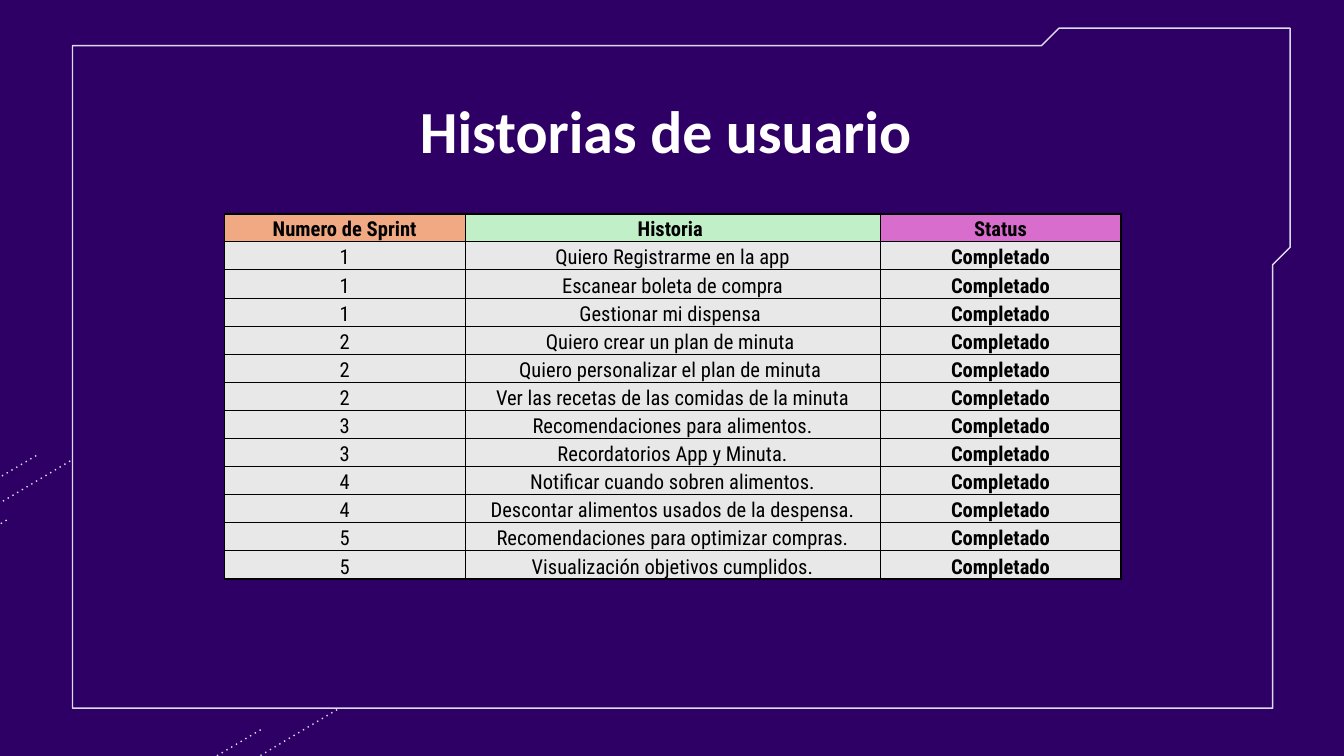
from lxml import etree
from pptx import Presentation
from pptx.dml.color import RGBColor
from pptx.enum.shapes import MSO_CONNECTOR
from pptx.enum.text import MSO_ANCHOR, PP_ALIGN
from pptx.oxml.ns import qn
from pptx.util import Inches, Pt

STRAIGHT = MSO_CONNECTOR.STRAIGHT
TOP, BOTTOM = MSO_ANCHOR.TOP, MSO_ANCHOR.BOTTOM
CENTER = PP_ALIGN.CENTER

PURPLE = RGBColor(0x2E, 0x00, 0x65)
LAVENDER = RGBColor(0xDB, 0xDB, 0xF0)
WHITE = RGBColor(0xFF, 0xFF, 0xFF)
BLACK = RGBColor(0x00, 0x00, 0x00)
GREY = RGBColor(0xE8, 0xE8, 0xE8)
ORANGE = RGBColor(0xF1, 0xA9, 0x83)
GREEN = RGBColor(0xC1, 0xF0, 0xC8)
PINK = RGBColor(0xD8, 0x6D, 0xCD)

TITLE_FONT = "Calibri"
TABLE_FONT = "Roboto Condensed"

HEADERS = ["Numero de Sprint", "Historia ", "Status"]
HEADER_FILLS = [ORANGE, GREEN, PINK]
COLUMN_SHARES = [1.79, 3.09, 1.79]
STORIES = [
    (1, "Quiero Registrarme en la app"),
    (1, "Escanear boleta de compra"),
    (1, "Gestionar mi dispensa "),
    (2, "Quiero crear un plan de minuta "),
    (2, "Quiero personalizar el plan de minuta "),
    (2, "Ver las recetas de las comidas de la minuta"),
    (3, "Recomendaciones para alimentos."),
    (3, "Recordatorios App y Minuta."),
    (4, "Notificar cuando sobren alimentos."),
    (4, "Descontar alimentos usados de la despensa."),
    (5, "Recomendaciones para optimizar compras."),
    (5, "Visualización objetivos cumplidos."),
]
STATUS = "Completado"

# Start x, start y, end x, end y, measured from the corner of the group
DIAGONALS = [
    (0.69, 0.36, 0, 0.77),
    (1.61, 0, 0.09, 0.91),
    (0.47, 0.84, 0.1, 1.06),
]


def add_diagonals(slide, left, top, count):
    for x1, y1, x2, y2 in DIAGONALS[:count]:
        line = slide.shapes.add_connector(
            STRAIGHT, Inches(left + x1), Inches(top + y1),
            Inches(left + x2), Inches(top + y2))
        line.line.color.rgb = LAVENDER
        line.line.width = Pt(0.75)
        etree.SubElement(line.get_or_add_ln(), qn("a:prstDash"), val="dot")
        etree.SubElement(line._element.spPr, qn("a:effectLst"))


def add_frame(slide, left, top, width, height):
    """Draw the outline whose top right corner is a raised tab."""
    notch, tab_width, tab_height = 0.13, 1.72, 1.63
    tab_left, inner_right = width - tab_width, width - notch
    points = [
        (tab_left, 0), (tab_left - notch, notch), (0, notch), (0, height),
        (inner_right, height), (inner_right, tab_height + notch),
        (width, tab_height), (width, 0),
    ]
    corners = [(Inches(left + x), Inches(top + y)) for x, y in points]
    builder = slide.shapes.build_freeform(*corners[0])
    builder.add_line_segments(corners[1:], close=True)
    frame = builder.convert_to_shape()
    frame.shadow.inherit = False
    frame.fill.solid()
    frame.fill.fore_color.rgb = PURPLE
    frame.line.color.rgb = LAVENDER
    frame.line.width = Pt(0.75)


def place_title(slide, left, top, width, height):
    title = slide.shapes.title
    title.left, title.top = Inches(left), Inches(top)
    title.width, title.height = Inches(width), Inches(height)
    text_frame = title.text_frame
    text_frame.text = "Historias de usuario "
    text_frame.vertical_anchor = TOP
    text_frame.margin_left = text_frame.margin_right = Inches(0.1)
    text_frame.margin_top = text_frame.margin_bottom = Inches(0.1)
    paragraph = text_frame.paragraphs[0]
    paragraph.alignment = CENTER
    paragraph.line_spacing = 1.05
    paragraph.font.name = TITLE_FONT
    paragraph.font.size = Pt(32)
    paragraph.font.bold = True
    paragraph.font.color.rgb = WHITE
    # The filled frame must lie behind the title
    title._element.getparent().append(title._element)


def set_borders(cell, is_outer):
    """Draw four borders, thicker on the sides marked in is_outer."""
    properties = cell._tc.get_or_add_tcPr()
    for index, side in enumerate(("L", "R", "T", "B")):
        width = Pt(1 if is_outer[side] else 0.5)
        border = etree.Element(qn(f"a:ln{side}"), w=str(width))
        fill = etree.SubElement(border, qn("a:solidFill"))
        etree.SubElement(fill, qn("a:srgbClr"), val=str(BLACK))
        properties.insert(index, border)


def format_cell(cell, text, fill, bold):
    cell.fill.solid()
    cell.fill.fore_color.rgb = fill
    cell.vertical_anchor = BOTTOM
    cell.margin_left = cell.margin_right = cell.margin_top = Inches(0.01)
    cell.margin_bottom = 0
    cell.text = text
    paragraph = cell.text_frame.paragraphs[0]
    paragraph.alignment = CENTER
    paragraph.font.name = TABLE_FONT
    paragraph.font.size = Pt(11)
    paragraph.font.bold = bold
    paragraph.font.color.rgb = BLACK


def add_story_table(slide, left, top, width, height):
    rows = [HEADERS] + [(str(sprint), story, STATUS) for sprint, story in STORIES]
    last_row, last_column = len(rows) - 1, len(HEADERS) - 1
    table = slide.shapes.add_table(
        len(rows), len(HEADERS), Inches(left), Inches(top),
        Inches(width), Inches(height)).table
    table.first_row = False
    table.horz_banding = False
    for column, share in zip(table.columns, COLUMN_SHARES):
        column.width = Inches(width * share / sum(COLUMN_SHARES))
    for r, row in enumerate(rows):
        for c, text in enumerate(row):
            cell = table.cell(r, c)
            fill = HEADER_FILLS[c] if r == 0 else GREY
            format_cell(cell, text, fill, bold=r == 0 or c == last_column)
            set_borders(cell, {"L": c == 0, "R": c == last_column,
                               "T": r == 0, "B": r == last_row})


def add_stories_slide(presentation):
    slide = presentation.slides.add_slide(presentation.slide_layouts[5])
    slide.background.fill.solid()
    slide.background.fill.fore_color.rgb = PURPLE
    add_diagonals(slide, -0.42, 3.03, 3)
    add_diagonals(slide, 1.25, 5.07, 2)
    add_frame(slide, 0.54, 0.21, 9.06, 5.06)
    place_title(slide, 0.79, 0.57, 8.43, 0.63)
    add_story_table(slide, 1.67, 1.59, 6.67, 2.72)


def main():
    presentation = Presentation()
    presentation.slide_width = Inches(10)
    presentation.slide_height = Inches(10 * 9 / 16)
    add_stories_slide(presentation)
    presentation.save("out.pptx")


if __name__ == "__main__":
    main()
